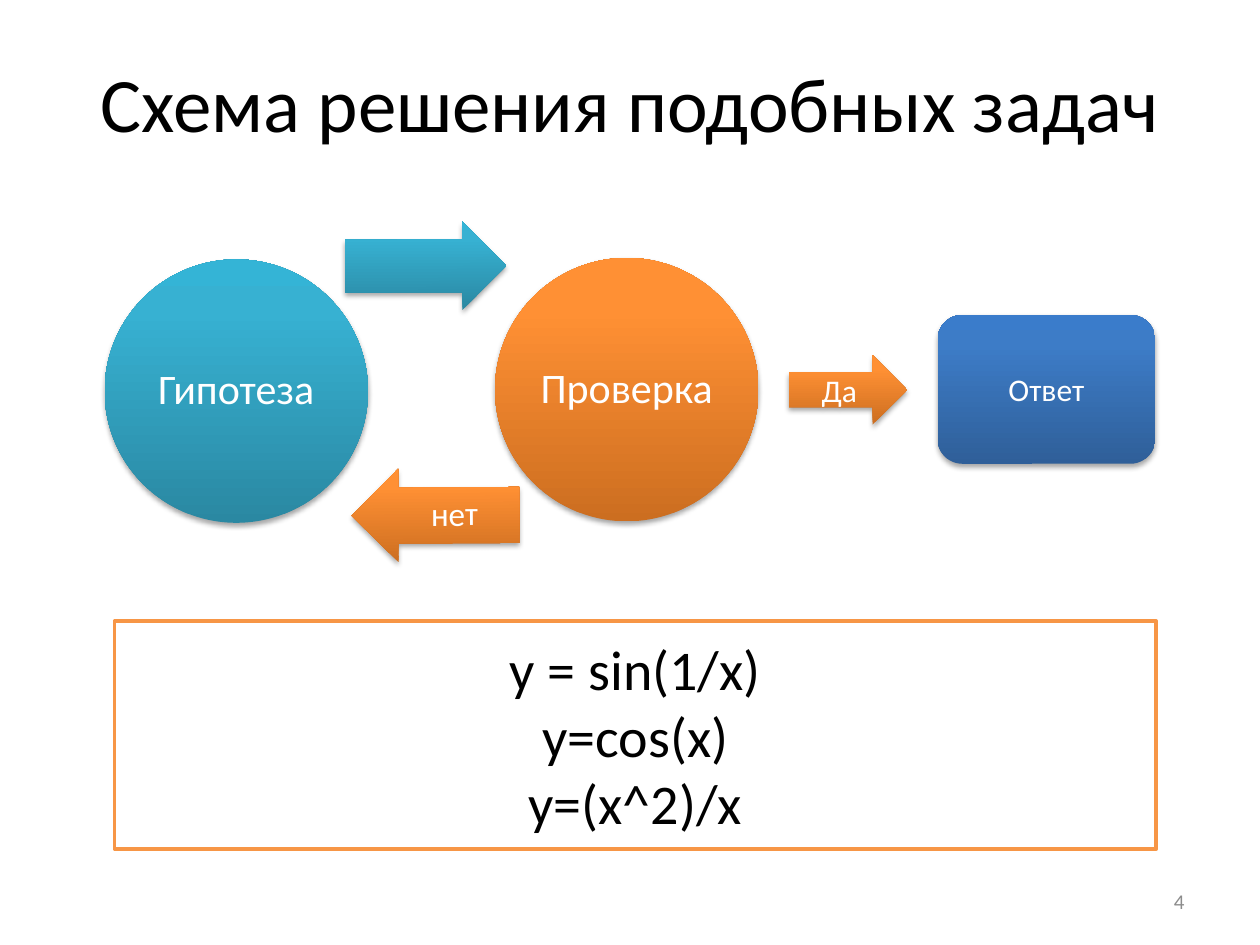
from copy import deepcopy
from dataclasses import dataclass

from lxml.etree import SubElement
from pptx import Presentation
from pptx.dml.color import RGBColor
from pptx.enum.shapes import MSO_SHAPE as Preset
from pptx.enum.text import MSO_ANCHOR as Anchor, PP_ALIGN as Align
from pptx.oxml.ns import qn
from pptx.util import Cm, Pt

FONT = "Calibri"
TEAL = ("2A88A2", "37B1D2", "34B4D6")
ORANGE = ("CC6E20", "FF9034", "FF9136")
BLUE = ("2F5F99", "3D7CC7", "3A7CCB")
STOPS = (0, 0.8, 1)
DIAMETER = 5.31
FORMULAS = ("y = sin(1/x)", "y=cos(x)", "y=(x^2)/x")


@dataclass(frozen=True)
class Node:
    preset: Preset
    left: float
    top: float
    width: float
    height: float
    colors: tuple[str, str, str]
    text: str = ""
    size: int = 18
    rotation: float = 0
    adjustments: tuple[float, ...] = ()
    insets: tuple[float, float, float, float] = (0.25, 0.13, 0.25, 0.13)
    spacing: float = 1


NODES = (
    Node(Preset.OVAL, 2.11, 5.23, DIAMETER, DIAMETER, TEAL, "Гипотеза", 24,
         insets=(0.08,) * 4, spacing=0.9),
    Node(Preset.RIGHT_ARROW, 6.96, 4.47, 3.25, 1.78, TEAL,
         rotation=-0.2, adjustments=(0.6, 0.5)),
    Node(Preset.OVAL, 9.98, 5.2, DIAMETER, DIAMETER, ORANGE, "Проверка", 24,
         insets=(0.08,) * 4, spacing=0.9),
    Node(Preset.LEFT_ARROW, 7.09, 9.45, 3.38, 1.88, ORANGE, "нет", 19,
         rotation=-0.3, adjustments=(0.6, 0.5), insets=(0.2, 0, 0, 0), spacing=0.9),
    Node(Preset.RIGHT_ARROW, 15.9, 7.16, 2.39, 1.4, ORANGE, "Да"),
    Node(Preset.ROUNDED_RECTANGLE, 18.9, 6.35, 4.39, 3, BLUE, "Ответ"),
)


def rgb(value: str) -> RGBColor:
    return RGBColor.from_string(value)


def write(frame, lines: tuple[str, ...], size: int, color: str,
          align: Align = Align.CENTER, spacing: float = 1) -> None:
    frame.word_wrap = True
    frame.vertical_anchor = Anchor.MIDDLE
    frame.text = "\n".join(lines)
    for paragraph in frame.paragraphs:
        paragraph.alignment = align
        paragraph.line_spacing = spacing
        paragraph.font.name = FONT
        paragraph.font.size = Pt(size)
        paragraph.font.color.rgb = rgb(color)


def fill_gradient(shape, colors: tuple[str, str, str]) -> None:
    shape.fill.gradient()
    shape.fill.gradient_angle = 90
    stop_list = shape.element.spPr.find(f".//{qn('a:gsLst')}")
    stop_list.append(deepcopy(stop_list[-1]))
    for stop, position, color in zip(shape.fill.gradient_stops, STOPS, colors):
        stop.position = position
        stop.color.rgb = rgb(color)


def add_shadow(shape) -> None:
    effects = shape.element.spPr.find(qn("a:effectLst"))
    shadow = SubElement(effects, qn("a:outerShdw"), blurRad=str(Pt(3.1)),
                        dist=str(Pt(1.8)), dir="5400000", rotWithShape="0")
    color = SubElement(shadow, qn("a:srgbClr"), val="000000")
    SubElement(color, qn("a:alpha"), val="35000")


def add_node(page, node: Node) -> None:
    shape = page.shapes.add_shape(node.preset, Cm(node.left), Cm(node.top),
                                  Cm(node.width), Cm(node.height))
    shape.rotation = node.rotation
    for index, value in enumerate(node.adjustments):
        shape.adjustments[index] = value
    fill_gradient(shape, node.colors)
    shape.line.fill.background()
    shape.shadow.inherit = False
    add_shadow(shape)
    if node.text:
        frame = shape.text_frame
        (frame.margin_left, frame.margin_top,
         frame.margin_right, frame.margin_bottom) = map(Cm, node.insets)
        write(frame, (node.text,), node.size, "FFFFFF", spacing=node.spacing)


def add_formulas(page) -> None:
    box = page.shapes.add_shape(Preset.RECTANGLE, Cm(2.31), Cm(12.52), Cm(21), Cm(4.6))
    box.shadow.inherit = False
    box.fill.solid()
    box.fill.fore_color.rgb = rgb("FFFFFF")
    box.line.color.rgb = rgb("F79646")
    box.line.width = Pt(2)
    write(box.text_frame, FORMULAS, 32, "000000")


def main() -> None:
    deck = Presentation()
    deck.slide_width, deck.slide_height = Cm(25.4), Cm(19.05)
    page = deck.slides.add_slide(deck.slide_layouts[5])

    title = page.shapes.title
    title.left, title.top, title.width, title.height = map(Cm, (1.27, 0.76, 22.86, 2.57))
    write(title.text_frame, ("Схема решения подобных задач",), 44, "000000")

    for node in NODES:
        add_node(page, node)
    add_formulas(page)

    number = page.shapes.add_textbox(Cm(18.2), Cm(17.66), Cm(5.93), Cm(1.01))
    write(number.text_frame, ("4",), 12, "8C8C8C", Align.RIGHT)

    deck.save("out.pptx")


if __name__ == "__main__":
    main()
